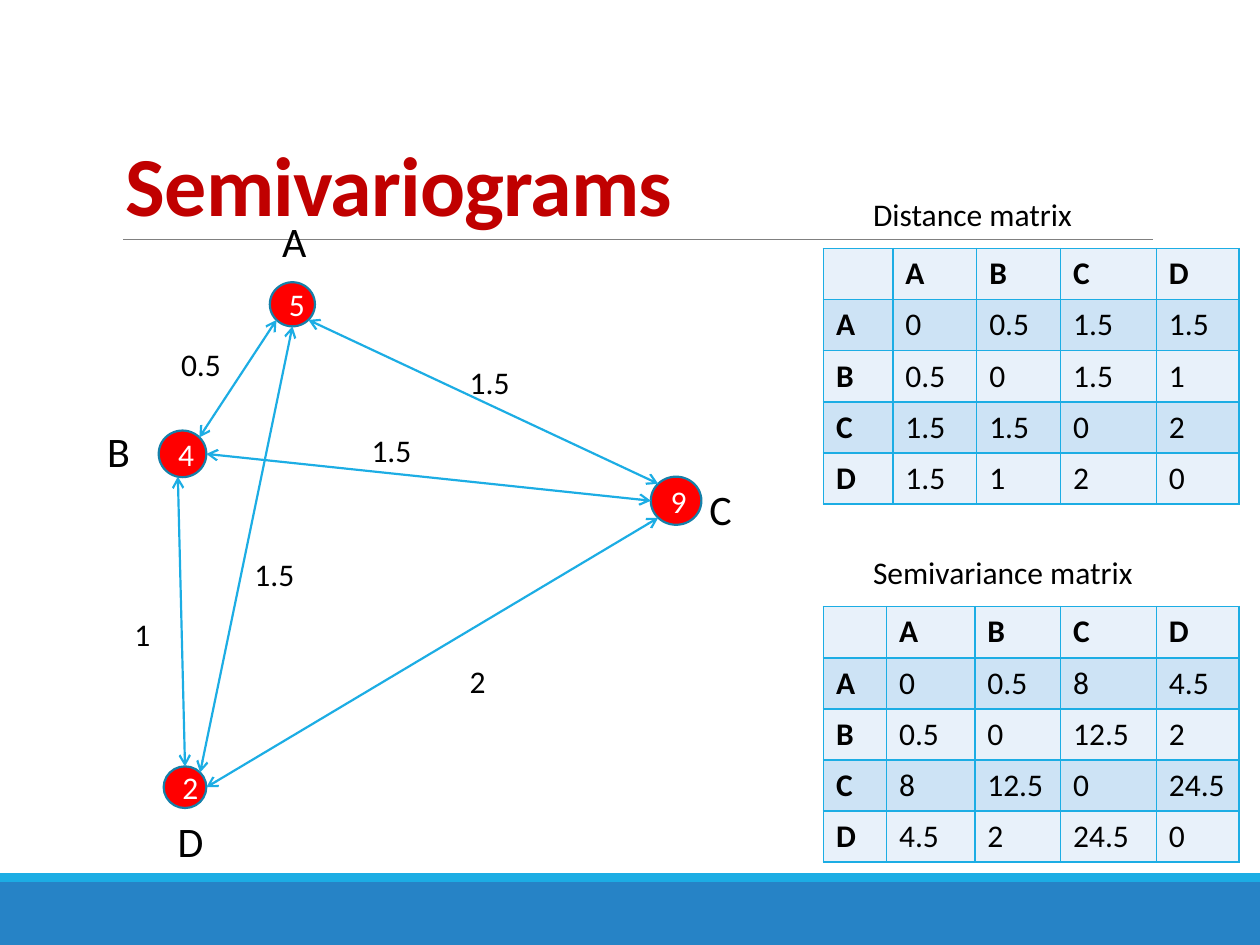
import dataclasses
import math

import lxml.etree
import pptx
import pptx.dml.color
import pptx.enum.shapes
import pptx.enum.text
import pptx.oxml.ns
import pptx.util

Cm = pptx.util.Cm
Pt = pptx.util.Pt
qn = pptx.oxml.ns.qn
ANCHOR = pptx.enum.text.MSO_ANCHOR
ALIGN = pptx.enum.text.PP_ALIGN
SHAPE = pptx.enum.shapes.MSO_SHAPE


@dataclasses.dataclass(frozen=True)
class Theme:
    font: str = "Calibri"
    title: str = "C00000"
    text: str = "000000"
    white: str = "FFFFFF"
    node: str = "FF0000"
    node_line: str = "1580A9"
    accent: str = "1CADE4"
    footer: str = "2683C6"
    rule: str = "808080"
    light: str = "E8F1FA"
    band: str = "CDE3F5"
    title_size: int = 48
    letter_size: int = 24
    body_size: int = 18


T = Theme()

NODES = {
    "A": (5, (5.44, 5.69, 0.91, 0.89), (5.44, 4.22, 0.91)),
    "B": (4, (3.2, 8.68, 0.96, 0.94), (1.91, 8.46, 0.97)),
    "C": (9, (13.12, 9.61, 1.02, 0.97), (14.05, 9.63, 0.97)),
    "D": (2, (3.3, 15.45, 0.86, 0.84), (3.33, 16.31, 1.04)),
}

EDGES = {
    "AB": (0.5, (-1, 1), (1, -1), (3.4, 6.83)),
    "BC": (1.5, (1, 0), (-1, 0), (7.24, 8.56)),
    "AC": (1.5, (1, 1), (-1, -1), (9.22, 7.19)),
    "BD": (1, (-0.2, 1), (0, -1), (2.46, 12.27)),
    "CD": (2, (-1, 1), (1, 0), (9.22, 13.23)),
    "AD": (1.5, (0, 1), (1, -1), (4.88, 11.07)),
}


def rgb(color):
    return pptx.dml.color.RGBColor.from_string(color)


def write(tf, text, size=T.body_size, color=T.text, bold=False, align=None,
          line_spacing=None, tracking=None):
    p = tf.paragraphs[0]
    p.alignment = align
    p.line_spacing = line_spacing
    r = p.add_run()
    r.text = text
    r.font.name = T.font
    r.font.size = Pt(size)
    r.font.bold = bold
    r.font.color.rgb = rgb(color)
    if tracking is not None:
        r.font._element.set("spc", str(int(tracking * 100)))


def add_text(s, text, x, y, w, h=1.02, wrap=False, anchor=ANCHOR.TOP, **fmt):
    tf = s.shapes.add_textbox(Cm(x), Cm(y), Cm(w), Cm(h)).text_frame
    tf.word_wrap = wrap
    tf.vertical_anchor = anchor
    write(tf, text, **fmt)


def add_shape(s, kind, box, fill, line=None):
    sp = s.shapes.add_shape(kind, *map(Cm, box))
    sp.shadow.inherit = False
    sp.fill.solid()
    sp.fill.fore_color.rgb = rgb(fill)
    if line:
        sp.line.color.rgb = rgb(line)
        sp.line.width = Pt(1.25)
    else:
        sp.line.fill.background()
    return sp


def add_line(s, start, end, color, width, arrows=False):
    c = s.shapes.add_connector(
        pptx.enum.shapes.MSO_CONNECTOR.STRAIGHT, *map(Cm, (*start, *end)))
    c.line.color.rgb = rgb(color)
    c.line.width = Pt(width)
    if arrows:
        ln = c.line._get_or_add_ln()
        for tag in ("a:headEnd", "a:tailEnd"):
            lxml.etree.SubElement(ln, qn(tag), type="arrow")
    lxml.etree.SubElement(c._element.spPr, qn("a:effectLst"))


def add_node(s, value, box):
    sp = add_shape(s, SHAPE.OVAL, box, T.node, T.node_line)
    sp.text_frame.vertical_anchor = ANCHOR.MIDDLE
    write(sp.text_frame, str(value), color=T.white, align=ALIGN.CENTER)


def rim_point(name, direction):
    x, y, w, h = NODES[name][1]
    dx, dy = direction
    n = math.hypot(dx, dy)
    return x + w / 2 * (1 + dx / n), y + h / 2 * (1 + dy / n)


def add_borders(cell):
    tc_pr = cell._tc.get_or_add_tcPr()
    for side in "LRTB":
        ln = lxml.etree.SubElement(tc_pr, qn(f"a:ln{side}"), w=str(Pt(1)))
        fill = lxml.etree.SubElement(ln, qn("a:solidFill"))
        lxml.etree.SubElement(fill, qn("a:srgbClr"), val=T.accent)


def add_matrix(s, caption, y, widths, measure):
    names = list(NODES)
    rows = [["", *names]]
    rows += [[a, *(f"{measure(a, b):g}" for b in names)] for a in names]
    row_h = 1.03
    table = s.shapes.add_table(
        len(rows), len(widths), Cm(16.6), Cm(y),
        Cm(sum(widths)), Cm(row_h * len(rows))).table
    for col, w in zip(table.columns, widths):
        col.width = Cm(w)
    for i, row in enumerate(rows):
        table.rows[i].height = Cm(row_h)
        for j, text in enumerate(row):
            cell = table.cell(i, j)
            add_borders(cell)
            cell.fill.solid()
            cell.fill.fore_color.rgb = rgb(T.band if i % 2 else T.light)
            if text:
                write(cell.text_frame, text, bold=i == 0 or j == 0)
    add_text(s, caption, 17.35, y - 1.21, 6.2, wrap=True)


def distance(a, b):
    return 0 if a == b else EDGES["".join(sorted(a + b))][0]


def semivariance(a, b):
    return (NODES[a][0] - NODES[b][0]) ** 2 / 2


def add_graph(s):
    for value, box, _ in NODES.values():
        add_node(s, value, box)
    for (a, b), (_, out, into, _) in EDGES.items():
        add_line(s, rim_point(a, out), rim_point(b, into), T.accent, 1.25, arrows=True)
    for length, _, _, (x, y) in EDGES.values():
        label = f"{length:g}"
        add_text(s, label, x, y, 1.32 if "." in label else 0.84)
    for name, (_, _, (x, y, w)) in NODES.items():
        add_text(s, name, x, y, w, 1.27, size=T.letter_size)


def main():
    prs = pptx.Presentation()
    prs.slide_width, prs.slide_height = Cm(25.4), Cm(19.05)
    s = prs.slides.add_slide(prs.slide_layouts[6])
    add_shape(s, SHAPE.RECTANGLE, (0, 17.78, 25.4, 1.27), T.footer)
    add_shape(s, SHAPE.RECTANGLE, (0, 17.6, 25.4, 0.18), T.accent)
    add_line(s, (2.48, 4.83), (23.24, 4.83), T.rule, 0.5)
    add_text(s, "Semivariograms", 2.29, 0.79, 20.95, 4.04, wrap=True,
             anchor=ANCHOR.BOTTOM, size=T.title_size, color=T.title, bold=True,
             line_spacing=0.85, tracking=-0.5)
    add_graph(s)
    add_matrix(s, "Distance matrix", 5.01, (1.4, 1.69, 1.69, 1.93, 1.67), distance)
    add_matrix(s, "Semivariance matrix", 12.23, (1.27, 1.78, 1.73, 1.93, 1.67),
               semivariance)
    prs.save("out.pptx")


if __name__ == "__main__":
    main()
